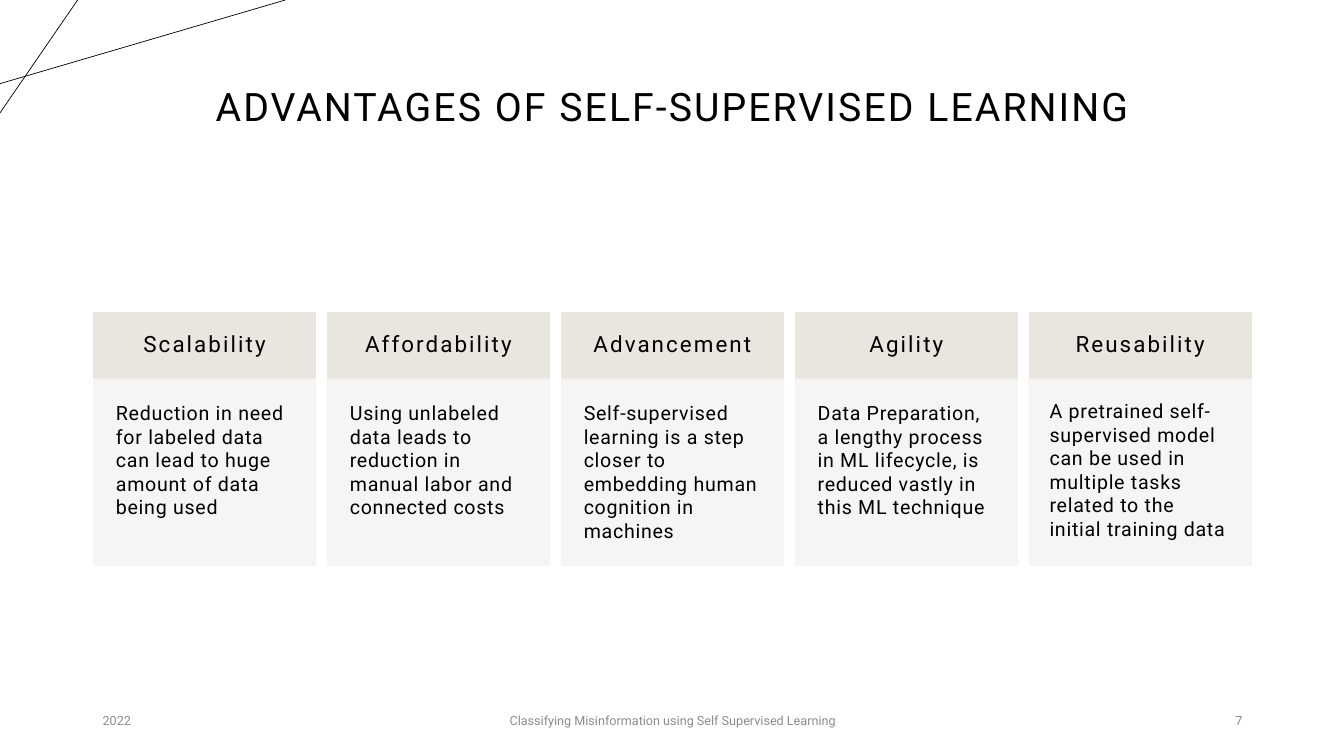
from lxml.etree import SubElement
from pptx import Presentation
from pptx.dml.color import RGBColor
from pptx.enum.shapes import MSO_CONNECTOR, MSO_SHAPE
from pptx.enum.text import MSO_ANCHOR, PP_ALIGN
from pptx.oxml.ns import qn
from pptx.util import Inches, Pt

BLACK = RGBColor(0x00, 0x00, 0x00)
GREY = RGBColor(0x8C, 0x8C, 0x8C)
SAND = RGBColor(0xE9, 0xE6, 0xDF)
PALE = RGBColor(0xF7, 0xF5, 0xF3)
LEFT, MID, RIGHT = PP_ALIGN.LEFT, PP_ALIGN.CENTER, PP_ALIGN.RIGHT

deck = Presentation()
deck.slide_width = Inches(13.33)
deck.slide_height = Inches(7.5)
slide = deck.slides.add_slide(deck.slide_layouts[6])
shapes = slide.shapes


def write(shape, text, size, align, color=BLACK, track=0, space=1.0,
          pad=(0.1, 0.05), anchor=MSO_ANCHOR.MIDDLE):
    frame = shape.text_frame
    form = {
        "word_wrap": True,
        "vertical_anchor": anchor,
        "margin_left": Inches(pad[0]),
        "margin_right": Inches(pad[0]),
        "margin_top": Inches(pad[1]),
        "margin_bottom": Inches(pad[1]),
    }
    for name, value in form.items():
        setattr(frame, name, value)
    para = frame.paragraphs[0]
    para.alignment = align
    para.line_spacing = space
    run = para.add_run()
    run.text = text
    run.font.name = "Roboto"
    run.font.size = Pt(size)
    run.font.color.rgb = color
    if track:
        run.font._element.set("spc", str(int(track * 100)))


def panel(x, y, w, h, color, alpha=100):
    box = shapes.add_shape(MSO_SHAPE.RECTANGLE, Inches(x), Inches(y), Inches(w), Inches(h))
    box.shadow.inherit = False
    box.fill.solid()
    box.fill.fore_color.rgb = color
    box.line.color.rgb = color
    box.line.width = Pt(1)
    if alpha < 100:
        for tint in box._element.spPr.iter(qn("a:srgbClr")):
            SubElement(tint, qn("a:alpha")).set("val", str(alpha * 1000))
    return box


for x1, y1, x2, y2 in [(0, 0.83, 2.83, 0), (0.77, 0, 0, 1.12)]:
    line = shapes.add_connector(
        MSO_CONNECTOR.STRAIGHT, Inches(x1), Inches(y1), Inches(x2), Inches(y2))
    line.line.color.rgb = BLACK
    line.line.width = Pt(0.5)
    SubElement(line._element.spPr, qn("a:effectLst"))

title = shapes.add_textbox(Inches(0.92), Inches(0.35), Inches(11.5), Inches(1.45))
write(title, "ADVANTAGES OF SELF-SUPERVISED LEARNING", 28, MID, track=1.5, space=0.9)

cards = [
    ("Scalability", 0.22,
     "Reduction in need for labeled data can lead to huge amount of data being used"),
    ("Affordability", 0.22,
     "Using unlabeled data leads to reduction in manual labor and connected costs"),
    ("Advancement", 0.22,
     "Self-supervised learning is a step closer to embedding human cognition in machines"),
    ("Agility", 0.22,
     "Data Preparation, a lengthy process in ML lifecycle, is reduced vastly in this ML technique"),
    ("Reusability", 0.2,
     "A pretrained self-supervised model can be used in multiple tasks "
     "related to the initial training data"),
]
for i, (head, inset, body) in enumerate(cards):
    x = 0.93 + i * 2.32
    write(panel(x, 3.1, 2.2, 0.66, SAND), head, 16, MID,
          track=1.5, space=0.9, pad=(0.17, 0.17))
    write(panel(x, 3.76, 2.2, 1.85, PALE, 90), body, 14, LEFT,
          track=0.5, pad=(inset, inset), anchor=MSO_ANCHOR.TOP)

footer = [
    (0.92, 3, "2022", LEFT),
    (4.42, 4.5, "Classifying Misinformation using Self Supervised Learning", MID),
    (9.42, 3, "7", RIGHT),
]
for x, w, text, align in footer:
    note = shapes.add_textbox(Inches(x), Inches(6.95), Inches(w), Inches(0.4))
    write(note, text, 9, align, GREY)

deck.save("out.pptx")
